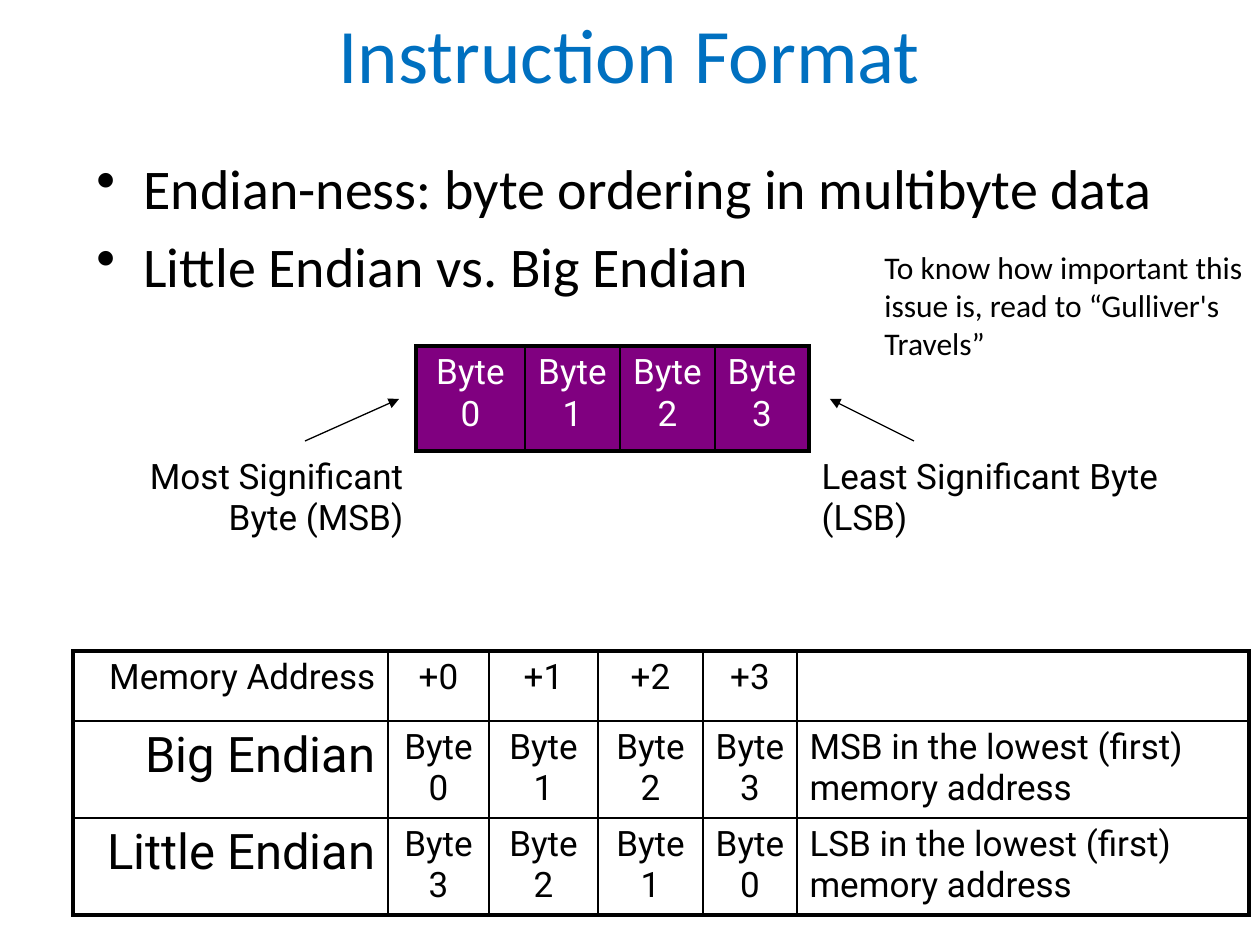
from lxml import etree
from pptx import Presentation
from pptx.dml.color import RGBColor
from pptx.enum.shapes import MSO_CONNECTOR
from pptx.enum.text import MSO_ANCHOR, PP_ALIGN
from pptx.oxml.ns import qn
from pptx.util import Emu, Pt

EMU_PER_PX = 914400 / 126
STRAIGHT = MSO_CONNECTOR.STRAIGHT
TOP, MIDDLE = MSO_ANCHOR.TOP, MSO_ANCHOR.MIDDLE
LEFT, CENTER, RIGHT = PP_ALIGN.LEFT, PP_ALIGN.CENTER, PP_ALIGN.RIGHT
COLORS = {"ink": "000000", "title": "0070C0", "byte": "800080", "light": "FFFFFF"}
TEXT_FONT, TABLE_FONT = "Calibri", "Roboto"
THICK, THIN = 2.25, 1


def px(value):
    return Emu(round(value * EMU_PER_PX))


def color(name):
    return RGBColor.from_string(COLORS[name])


class SlideBuilder:
    def __init__(self, slide):
        self.slide = slide

    def style(self, paragraph, text, size, font, ink="ink", align=LEFT):
        paragraph.text = text
        paragraph.alignment = align
        paragraph.font.size = Pt(size)
        paragraph.font.name = font
        paragraph.font.color.rgb = color(ink)

    def text(self, box, lines, size, ink="ink", align=LEFT, anchor=TOP, bullet_indent=0):
        frame = self.slide.shapes.add_textbox(*map(px, box)).text_frame
        frame.word_wrap = True
        frame.vertical_anchor = anchor
        for index, line in enumerate(lines):
            paragraph = frame.add_paragraph() if index else frame.paragraphs[0]
            self.style(paragraph, line, size, TEXT_FONT, ink, align)
            if bullet_indent:
                paragraph.space_before = Pt(size * 0.2)
                self.bullet(paragraph, px(bullet_indent))

    def bullet(self, paragraph, indent):
        properties = paragraph._p.get_or_add_pPr()
        properties.set("marL", str(indent))
        properties.set("indent", str(-indent))
        mark = etree.Element(qn("a:buChar"), char="•")
        properties.find(qn("a:defRPr")).addprevious(mark)

    def arrow(self, start, end):
        connector = self.slide.shapes.add_connector(STRAIGHT, *map(px, start + end))
        connector.line.width = Pt(0.75)
        connector.line.color.rgb = color("ink")
        line = connector.line._get_or_add_ln()
        etree.SubElement(line, qn("a:tailEnd"), type="triangle")
        etree.SubElement(connector._element.spPr, qn("a:effectLst"))

    def table(self, origin, widths, heights, rows, frame, fill=None):
        box = (*origin, sum(widths), sum(heights))
        shape = self.slide.shapes.add_table(len(heights), len(widths), *map(px, box))
        table = shape.table
        table.first_row = table.horz_banding = False
        for column, width in zip(table.columns, widths):
            column.width = px(width)
        for row, height in zip(table.rows, heights):
            row.height = px(height)
        (top, bottom), (left, right) = frame
        for r, texts in enumerate(rows):
            for c, text in enumerate(texts):
                cell = table.cell(r, c)
                framed = top <= r < bottom and left <= c < right
                filled = framed and fill
                if filled:
                    cell.fill.solid()
                    cell.fill.fore_color.rgb = color(fill)
                else:
                    cell.fill.background()
                align = RIGHT if c == 0 else LEFT if c == len(widths) - 1 else CENTER
                size = 28 if text.endswith("Endian") else 20
                ink = "light" if filled else "ink"
                self.style(cell.text_frame.paragraphs[0], text, size, TABLE_FONT, ink, align)
                in_rows, in_columns = top <= r < bottom, left <= c < right
                self.borders(cell, (
                    self.edge(c, left, right, in_rows),
                    self.edge(c + 1, left, right, in_rows),
                    self.edge(r, top, bottom, in_columns),
                    self.edge(r + 1, top, bottom, in_columns),
                ))

    def edge(self, position, first, last, inside):
        if not inside or not first <= position <= last:
            return 0
        return THICK if position in (first, last) else THIN

    def borders(self, cell, weights):
        properties = cell._tc.get_or_add_tcPr()
        for index, (side, weight) in enumerate(zip("LRTB", weights)):
            line = etree.Element(qn(f"a:ln{side}"), w=str(Pt(weight)))
            if weight:
                solid = etree.SubElement(line, qn("a:solidFill"))
                etree.SubElement(solid, qn("a:srgbClr"), val=COLORS["ink"])
            else:
                etree.SubElement(line, qn("a:noFill"))
            properties.insert(index, line)


def main():
    presentation = Presentation()
    presentation.slide_width, presentation.slide_height = px(1260), px(945)
    builder = SlideBuilder(presentation.slides.add_slide(presentation.slide_layouts[6]))

    builder.text(
        (84, 147, 1102, 231),
        ["Endian-ness: byte ordering in multibyte data", "Little Endian vs. Big Endian"],
        32, bullet_indent=47,
    )

    byte_names = [f"Byte {number}" for number in range(4)]
    builder.table(
        (73, 651), (315, 101, 109, 105, 94, 452), (70, 97, 97),
        [
            ["Memory Address", "+0", "+1", "+2", "+3", ""],
            ["Big Endian", *byte_names, "MSB in the lowest (first) memory address"],
            ["Little Endian", *reversed(byte_names), "LSB in the lowest (first) memory address"],
        ],
        frame=((0, 3), (0, 6)),
    )
    builder.table(
        (126, 346), (290, 109, 95, 95, 94, 368), (105, 97),
        [
            ["", *byte_names, ""],
            ["Most Significant Byte (MSB)", "", "", "", "", "Least Significant Byte (LSB)"],
        ],
        frame=((0, 1), (1, 5)), fill="byte",
    )

    builder.arrow((305, 441), (399, 399))
    builder.arrow((914, 441), (830, 399))
    builder.text((136, 0, 987, 105), ["Instruction Format"], 44, "title", CENTER, MIDDLE)
    builder.text(
        (872, 242, 388, 127),
        ["To know how important this issue is, read to “Gulliver's Travels”"],
        18,
    )
    presentation.save("out.pptx")


if __name__ == "__main__":
    main()
